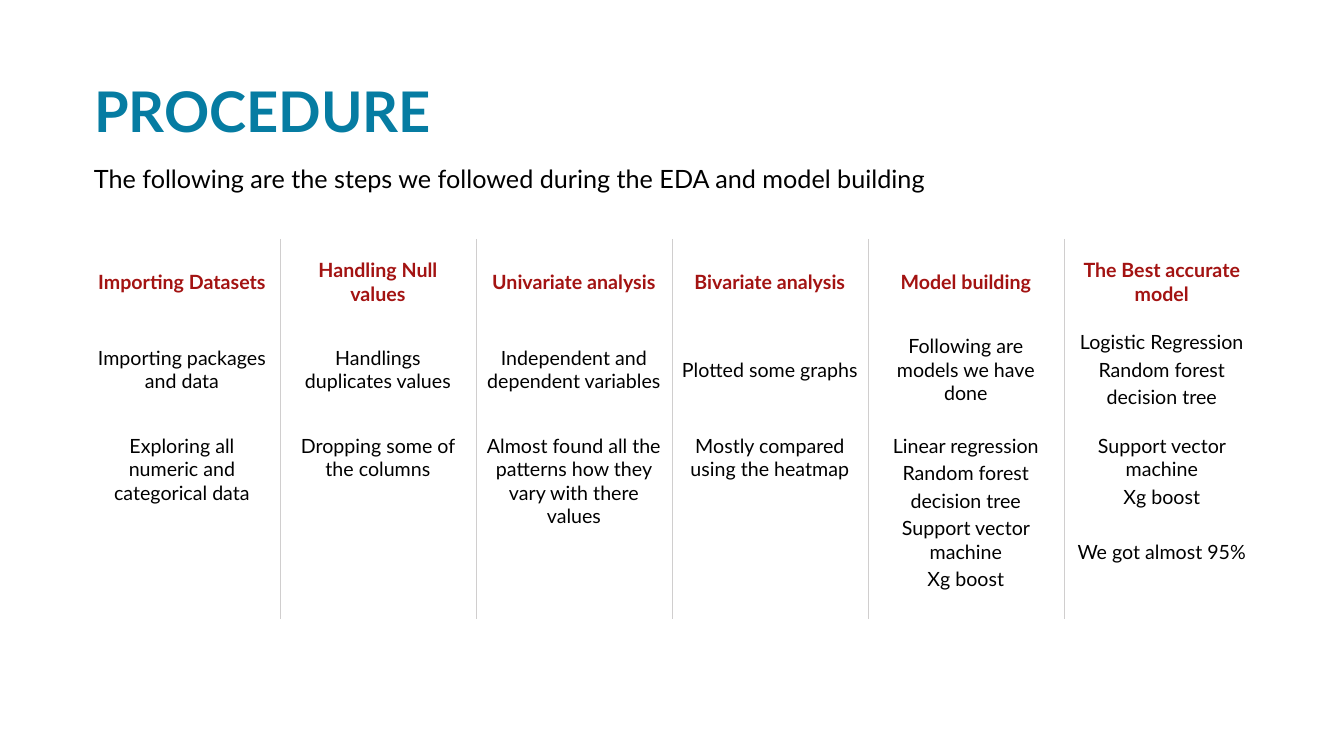
from dataclasses import dataclass

from lxml.etree import SubElement
from pptx import Presentation
from pptx.dml.color import RGBColor
from pptx.enum.text import MSO_ANCHOR as Anchor, MSO_AUTO_SIZE as AutoSize, PP_ALIGN as Align
from pptx.oxml.ns import qn
from pptx.util import Emu, Pt

EMU_PER_PX = 914400 / 100.8
FONT = "Lato"
BLUE = RGBColor(0x06, 0x7C, 0xA2)
RED = RGBColor(0xA3, 0x13, 0x12)
BLACK = RGBColor(0, 0, 0)
RULE_GREY = RGBColor(0xD0, 0xCE, 0xCE)
RULE_WIDTH = Pt(0.5)
LEFT, TABLE_TOP, COLUMN_WIDTH = 84, 239, 196
ROW_HEIGHTS = (86, 89, 205)
PARAGRAPH_GAP = 2.8
CONCLUSION_GAP = 22.4


@dataclass(frozen=True)
class Step:
    heading: str
    summary: str
    details: str
    conclusion: str = ""


STEPS = (
    Step("Importing Datasets", "Importing packages and data",
         "Exploring all numeric and categorical data"),
    Step("Handling Null values", "Handlings duplicates values",
         "Dropping some of the columns"),
    Step("Univariate analysis", "Independent and dependent variables",
         "Almost found all the patterns how they vary with there values"),
    Step("Bivariate analysis", "Plotted some graphs",
         "Mostly compared using the heatmap"),
    Step("Model building", "Following are models we have done",
         "Linear regression\nRandom forest\ndecision tree\nSupport vector machine\nXg boost"),
    Step("The Best accurate model", "Logistic Regression\nRandom forest\ndecision tree",
         "Support vector machine\nXg boost", "We got almost 95%"),
)


def px(length: int) -> Emu:
    return Emu(round(length * EMU_PER_PX))


def style_text(paragraph, size: int, color: RGBColor, bold: bool = False) -> None:
    for run in paragraph.runs:
        run.font.name = FONT
        run.font.size = Pt(size)
        run.font.bold = bold
        run.font.color.rgb = color


def fill_line(shape, text: str, size: int, color: RGBColor, bold: bool, anchor) -> None:
    text_frame = shape.text_frame
    text_frame.text = text
    text_frame.word_wrap = True
    text_frame.auto_size = AutoSize.NONE
    text_frame.vertical_anchor = anchor
    paragraph = text_frame.paragraphs[0]
    paragraph.alignment = Align.LEFT
    style_text(paragraph, size, color, bold)


def set_borders(cell, has_left: bool, has_right: bool) -> None:
    properties = cell._tc.get_or_add_tcPr()
    sides = (("lnL", has_left), ("lnR", has_right), ("lnT", False), ("lnB", False))
    for position, (side, visible) in enumerate(sides):
        line = SubElement(properties, qn(f"a:{side}"), w=str(RULE_WIDTH))
        if visible:
            fill = SubElement(line, qn("a:solidFill"))
            SubElement(fill, qn("a:srgbClr"), val=str(RULE_GREY))
        else:
            SubElement(line, qn("a:noFill"))
        properties.insert(position, line)


def fill_cell(cell, text: str, color: RGBColor, bold: bool, anchor) -> None:
    cell.fill.background()
    cell.vertical_anchor = anchor
    cell.margin_left = cell.margin_right = px(10)
    cell.margin_top = px(20 if anchor == Anchor.TOP else 5)
    cell.margin_bottom = px(5)
    cell.text_frame.text = text
    for paragraph in cell.text_frame.paragraphs:
        paragraph.alignment = Align.CENTER
        paragraph.space_before = Pt(PARAGRAPH_GAP)
        style_text(paragraph, 14, color, bold)


def add_steps_table(slide) -> None:
    frame = slide.shapes.add_table(
        len(ROW_HEIGHTS), len(STEPS), px(LEFT), px(TABLE_TOP),
        px(COLUMN_WIDTH * len(STEPS)), px(sum(ROW_HEIGHTS)))
    table = frame.table
    table.first_row = table.horz_banding = False
    for row, height in zip(table.rows, ROW_HEIGHTS):
        row.height = px(height)
    for index, step in enumerate(STEPS):
        table.columns[index].width = px(COLUMN_WIDTH)
        heading, summary, details = (table.cell(row, index) for row in range(len(ROW_HEIGHTS)))
        fill_cell(heading, step.heading, RED, True, Anchor.MIDDLE)
        fill_cell(summary, step.summary, BLACK, False, Anchor.MIDDLE)
        fill_cell(details, step.details, BLACK, False, Anchor.TOP)
        if step.conclusion:
            paragraph = details.text_frame.add_paragraph()
            paragraph.text = step.conclusion
            paragraph.alignment = Align.CENTER
            paragraph.space_before = Pt(CONCLUSION_GAP)
            style_text(paragraph, 14, BLACK)
        for cell in (heading, summary, details):
            set_borders(cell, index > 0, index < len(STEPS) - 1)


def main() -> None:
    presentation = Presentation()
    presentation.slide_width, presentation.slide_height = px(1344), px(756)
    slide = presentation.slides.add_slide(presentation.slide_layouts[5])

    title = slide.shapes.title
    title.left, title.top, title.width, title.height = px(LEFT), px(79), px(1167), px(71)
    fill_line(title, "PROCEDURE", 40, BLUE, True, Anchor.MIDDLE)
    title.text_frame.paragraphs[0].line_spacing = 0.9

    introduction = slide.shapes.add_textbox(px(LEFT), px(158), px(1176), px(60))
    fill_line(introduction,
              "The following are the steps we followed during the EDA and model building",
              18, BLACK, False, Anchor.TOP)

    add_steps_table(slide)
    presentation.save("out.pptx")


if __name__ == "__main__":
    main()
